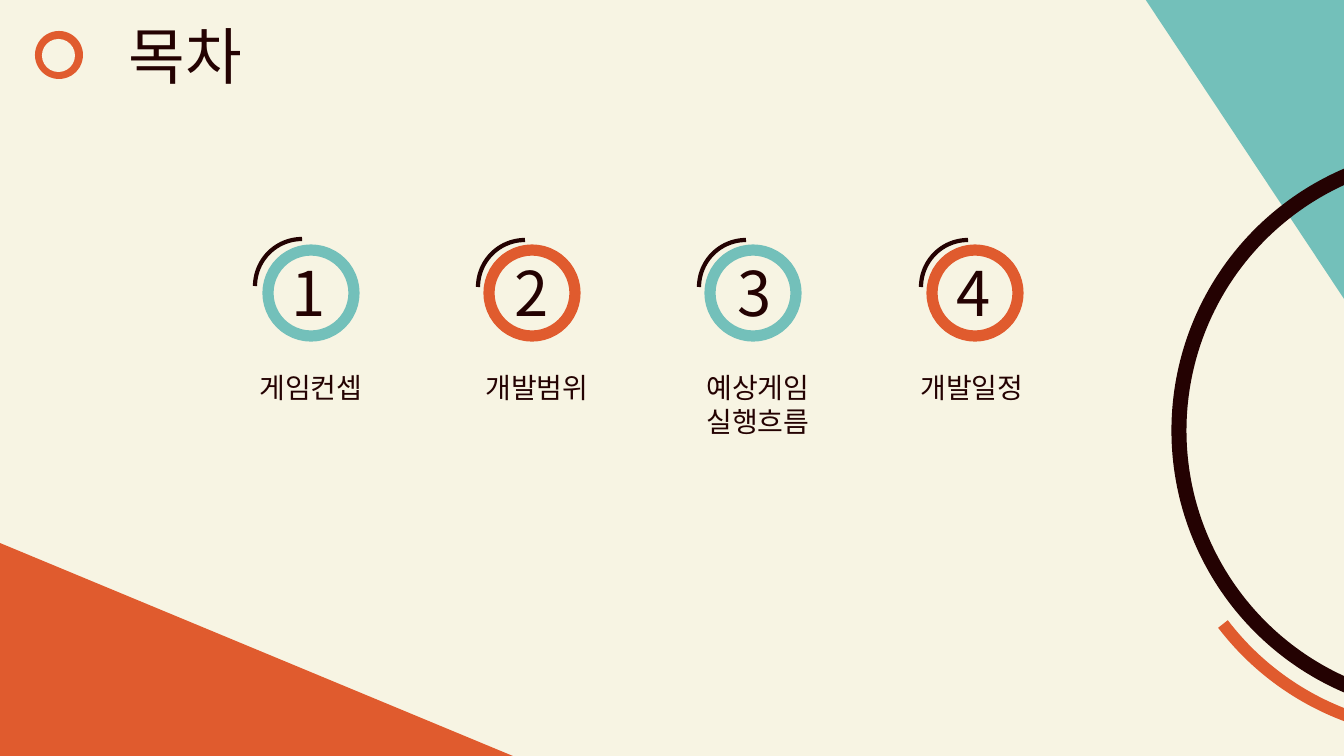
import pptx
import pptx.util
import pptx.dml.color
import pptx.enum.shapes
import pptx.enum.text
import pptx.oxml.ns
import lxml.etree

EMU_PER_PX = 914400 / 100.8
FONT = "Noto Sans CJK KR"
COLORS = {
    "cream": "F7F4E3",
    "orange": "E05B2E",
    "teal": "73C0BA",
    "dark": "240202",
}
SHAPE = pptx.enum.shapes.MSO_SHAPE

RING_LEFT, RING_TOP, RING_SIZE = 268, 250, 86
RING_SPAN = 664  # first ring to last ring
# ring colour, arc left and top, number left, label left and width, label lines
ITEMS = [
    ("teal", 255, 239, 268, 229, 164, ["게임컨셉"]),
    ("orange", 478, 240, 491, 466, 142, ["개발범위"]),
    ("teal", 699, 240, 714, 657, 202, ["예상게임", "실행흐름"]),
    ("orange", 921, 240, 933, 904, 136, ["개발일정"]),
]


def px(n):
    """Turn pixels into EMU."""
    return pptx.util.Emu(round(n * EMU_PER_PX))


def rgb(name):
    """Look up a named colour."""
    return pptx.dml.color.RGBColor.from_string(COLORS[name])


def add_shape(shapes, kind, box, fill=None, line=None, width=0, rot=0, adj=()):
    """Add a preset shape with an optional fill, line, rotation and adjustments."""
    sp = shapes.add_shape(kind, *map(px, box))
    sp.shadow.inherit = False
    sp.rotation = rot
    for i, value in enumerate(adj):
        sp.adjustments[i] = value
    if fill:
        sp.fill.solid()
        sp.fill.fore_color.rgb = rgb(fill)
    else:
        sp.fill.background()
    if line:
        sp.line.color.rgb = rgb(line)
        sp.line.width = pptx.util.Pt(width)
    else:
        sp.line.fill.background()
    return sp


def add_text(shapes, box, lines, size):
    """Add a centred text box with one paragraph per line."""
    sp = shapes.add_textbox(*map(px, box))
    tf = sp.text_frame
    tf.word_wrap = True
    tf.auto_size = pptx.enum.text.MSO_AUTO_SIZE.SHAPE_TO_FIT_TEXT
    for i, text in enumerate(lines):
        p = tf.add_paragraph() if i else tf.paragraphs[0]
        p.alignment = pptx.enum.text.PP_ALIGN.CENTER
        r = p.add_run()
        r.text = text
        r.font.size = pptx.util.Pt(size)
        r.font.color.rgb = rgb("dark")
        r.font.name = FONT
        ea = lxml.etree.SubElement(r._r.get_or_add_rPr(), pptx.oxml.ns.qn("a:ea"))
        ea.set("typeface", FONT)


def add_backdrop(s):
    """Add the corner triangles and the large arcs."""
    shapes = s.shapes.add_group_shape().shapes
    add_shape(shapes, SHAPE.ISOSCELES_TRIANGLE, (0, 543, 525, 218), "orange", adj=[0])
    add_shape(shapes, SHAPE.ISOSCELES_TRIANGLE, (1095, 50, 300, 199), "teal",
              rot=270, adj=[1])
    add_shape(shapes, SHAPE.ARC, (1179, 153, 555, 555), line="dark", width=10.75,
              rot=266.4, adj=[122.78, 205.19])
    add_shape(shapes, SHAPE.ARC, (1166, 178, 555, 555), line="orange", width=8.75,
              rot=257.8, adj=[127.46, 146.89])


def add_title(s):
    """Add the heading and its ring marker."""
    add_text(s.shapes, (61, 13, 249, 85), ["목차"], 44)
    shapes = s.shapes.add_group_shape().shapes
    add_shape(shapes, SHAPE.OVAL, (35, 31, 48, 48), "orange")
    add_shape(shapes, SHAPE.OVAL, (42, 39, 33, 33), "cream")


def add_items(s):
    """Add the numbered rings with their arcs and labels."""
    for i, item in enumerate(ITEMS):
        color, arc_left, arc_top, number_left, label_left, label_width, lines = item
        left = RING_LEFT + RING_SPAN * i // (len(ITEMS) - 1)
        add_shape(s.shapes, SHAPE.OVAL, (left, RING_TOP, RING_SIZE, RING_SIZE),
                  line=color, width=8)
        add_shape(s.shapes, SHAPE.ARC, (arc_left, arc_top, 94, 94),
                  line="dark", width=3, rot=270)
        add_text(s.shapes, (number_left, RING_TOP, 82, 85), [str(i + 1)], 44)
        add_text(s.shapes, (label_left, 366, label_width, 10 + 34 * len(lines)),
                 lines, 20)


def main():
    """Build the contents slide and save it."""
    prs = pptx.Presentation()
    prs.slide_width, prs.slide_height = px(1344), px(756)
    s = prs.slides.add_slide(prs.slide_layouts[6])
    s.background.fill.solid()
    s.background.fill.fore_color.rgb = rgb("cream")
    add_backdrop(s)
    add_title(s)
    add_items(s)
    prs.save("out.pptx")


main()
